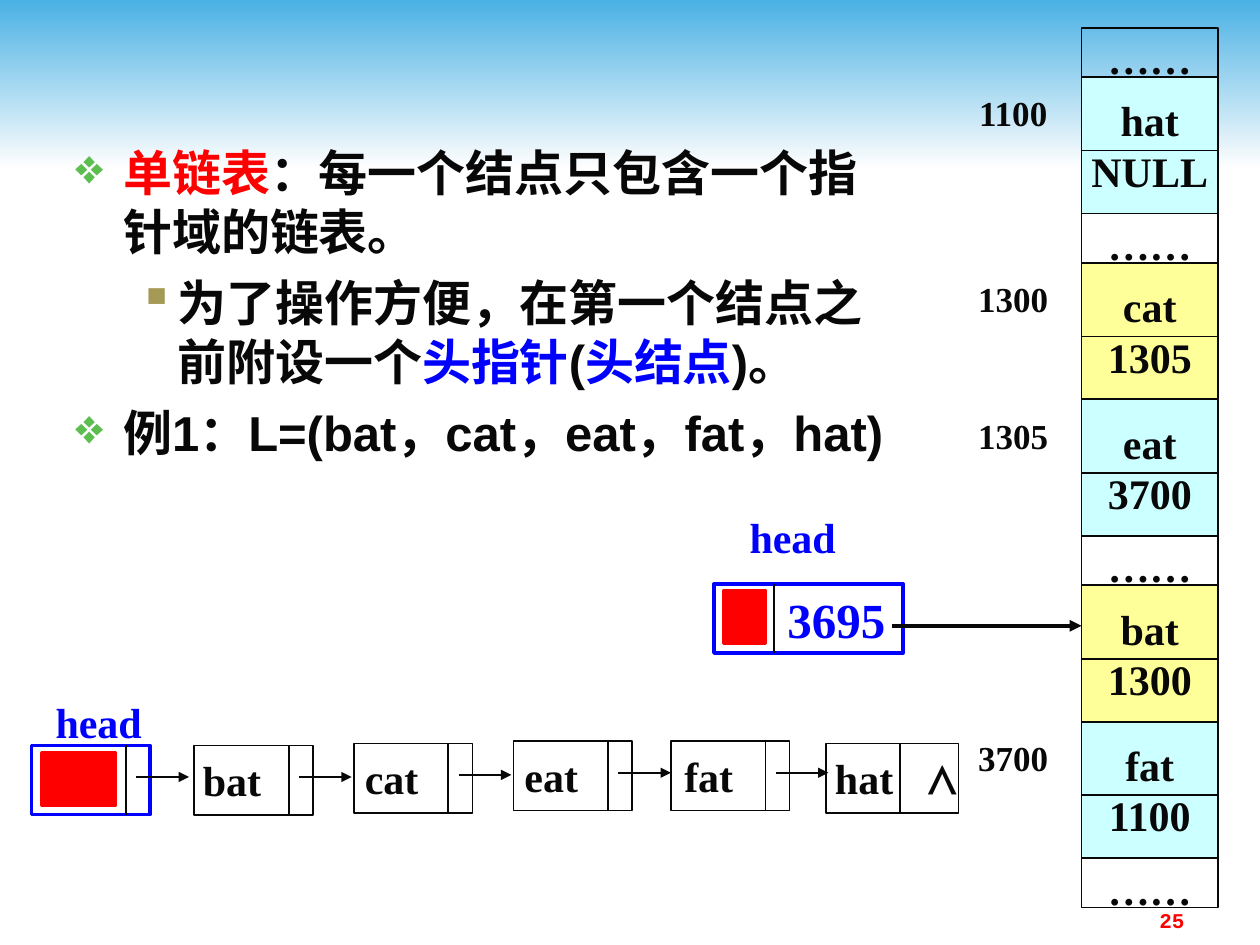
import pptx
import pptx.dml.color
import pptx.enum.shapes
import pptx.enum.text
import pptx.oxml
import pptx.oxml.ns
import pptx.util

RGBColor = pptx.dml.color.RGBColor
INK = RGBColor(0x08, 0x08, 0x08)
BLUE = RGBColor(0x00, 0x00, 0xFF)
RED = RGBColor(0xFF, 0x00, 0x00)
CYAN = RGBColor(0xCC, 0xFF, 0xFF)
YELLOW = RGBColor(0xFF, 0xFF, 0x99)
SKY = RGBColor(0x4A, 0xB1, 0xE4)
MIST = RGBColor(0xFE, 0xFE, 0xFE)
GREEN = RGBColor(0x5B, 0xBE, 0x4E)
OLIVE = RGBColor(0xA5, 0x9A, 0x55)
SERIF = "Times New Roman"
RECTANGLE = pptx.enum.shapes.MSO_SHAPE.RECTANGLE
STRAIGHT = pptx.enum.shapes.MSO_CONNECTOR.STRAIGHT
ALIGN = pptx.enum.text.PP_ALIGN
ANCHOR = pptx.enum.text.MSO_ANCHOR

deck = pptx.Presentation()
deck.slide_width = pptx.util.Inches(10)
deck.slide_height = pptx.util.Inches(7.5)
page = deck.slides.add_slide(deck.slide_layouts[6])
# Grid of 120 columns by 90 rows
CELL = deck.slide_width // 120


def add_box(area, lines=(), fill=None, edge=None, weight=1, color=INK, size=24, font=SERIF,
            align=ALIGN.CENTER, anchor=ANCHOR.MIDDLE, wrap=False, insets=(1.2, 0.6, 1.2, 0.6)):
    """Rectangle, placed in grid units, with one paragraph for each line."""
    box = page.shapes.add_shape(RECTANGLE, *[int(n * CELL) for n in area])
    box.shadow.inherit = False
    if fill is None:
        box.fill.background()
    else:
        box.fill.solid()
        box.fill.fore_color.rgb = fill
    if edge is None:
        box.line.fill.background()
    else:
        box.line.color.rgb = edge
        box.line.width = pptx.util.Pt(weight)
    frame = box.text_frame
    settings = {"word_wrap": wrap, "vertical_anchor": anchor}
    for side, inset in zip(("left", "top", "right", "bottom"), insets):
        settings["margin_" + side] = int(inset * CELL)
    for name, value in settings.items():
        setattr(frame, name, value)
    for number, line in enumerate(lines):
        para = frame.paragraphs[0] if number == 0 else frame.add_paragraph()
        para.alignment = align
        span = para.add_run()
        span.text = line
        for name, value in {"name": font, "size": pptx.util.Pt(size), "bold": True}.items():
            setattr(span.font, name, value)
        span.font.color.rgb = color
    return box


def add_line(x1, y1, x2, y2, weight=1, arrow=False):
    """Straight line between two grid points."""
    line = page.shapes.add_connector(STRAIGHT, *[int(n * CELL) for n in (x1, y1, x2, y2)])
    line.line.color.rgb = INK
    line.line.width = pptx.util.Pt(weight)
    if arrow:
        pptx.oxml.ns.qn("a:tailEnd")
        tail = line.line._get_or_add_ln().makeelement(
            pptx.oxml.ns.qn("a:tailEnd"), {"type": "triangle"})
        line.line._get_or_add_ln().append(tail)
    properties = line._element.spPr
    properties.append(properties.makeelement(pptx.oxml.ns.qn("a:effectLst"), {}))


# Sky band across the top
band = add_box((0, 0, 120, 16), fill=SKY)
band.fill.gradient()
band.fill.gradient_angle = 270
for stop, color, place in zip(band.fill.gradient_stops, (SKY, MIST), (0, 1)):
    stop.color.rgb = color
    stop.position = place

# Explanation: level, then spans of text and colour
bullets = [("❖", GREEN, 0.38, 0.38), ("▪", OLIVE, 0.81, 0.31)]
points = [
    (0, [("单链表", RED), ("：每一个结点只包含一个指针域的链表。", INK)]),
    (1, [("为了操作方便，在第一个结点之前附设一个", INK), ("头指针", BLUE), ("(", INK),
         ("头结点", BLUE), (")。", INK)]),
    (0, [("例1：L=(bat，cat，eat，fat，hat)", INK)]),
]
body = page.shapes.add_textbox(*[n * CELL for n in (6, 13, 80, 40)])
body.text_frame.word_wrap = True
for number, (level, spans) in enumerate(points):
    para = body.text_frame.paragraphs[0] if number == 0 else body.text_frame.add_paragraph()
    para.level = level
    if number:
        para.space_before = pptx.util.Pt(7)
    sign, sign_color, margin, hang = bullets[level]
    properties = para._p.get_or_add_pPr()
    properties.set("marL", str(pptx.util.Inches(margin)))
    properties.set("indent", str(-pptx.util.Inches(hang)))
    namespace = pptx.oxml.ns.nsdecls("a")
    for xml in (f'<a:buClr {namespace}><a:srgbClr val="{sign_color}"/></a:buClr>',
                f'<a:buChar {namespace} char="{sign}"/>'):
        properties.append(pptx.oxml.parse_xml(xml))
    for text, color in spans:
        span = para.add_run()
        span.text = text
        for name, value in {"name": "Arial", "size": pptx.util.Pt(28), "bold": True}.items():
            setattr(span.font, name, value)
        span.font.color.rgb = color

# Memory column: each cell starts where the one above ends
CELL_LEFT, CELL_WIDTH, CELL_HEIGHT, GAP_HEIGHT = 103, 13, 13, 4.7
memory = [
    None,
    ("1100", "hat", "NULL", CYAN),
    None,
    ("1300", "cat", "1305", YELLOW),
    ("1305", "eat", "3700", CYAN),
    None,
    ("", "bat", "1300", YELLOW),
    ("3700", "fat", "1100", CYAN),
    None,
]
top = 2.64
for record in memory:
    if record is None:
        add_box((CELL_LEFT, top, CELL_WIDTH, GAP_HEIGHT), ["……"], edge=INK,
                insets=(1.2, 1.6, 1.2, 0.6))
        top += GAP_HEIGHT
        continue
    address, value, link, fill = record
    add_box((CELL_LEFT, top, CELL_WIDTH, CELL_HEIGHT), [value, link], fill=fill, edge=INK)
    add_line(CELL_LEFT, top + 7, CELL_LEFT + CELL_WIDTH, top + 7)
    if address:
        add_box((CELL_LEFT - 13, top, 13, 6.8), [address], size=20)
    top += CELL_HEIGHT

# Head pointer into the memory column
add_box((70, 48.6, 11, 5), ["head"], color=BLUE)
add_box((68, 55.6, 18, 6.6), ["3695"], edge=BLUE, weight=2, color=BLUE, size=28,
        align=ALIGN.LEFT, insets=(7, 0.6, 0, 0.6))
add_line(73.7, 55.6, 73.7, 62.2)
add_line(85, 59.6, CELL_LEFT, 59.6, weight=2.25, arrow=True)
add_box((68.9, 56.3, 4, 5), fill=RED, edge=RED, weight=2)

# Linked chain: left, top, width, divider offset, value
NODE_HEIGHT = 6.6
chain = [
    (3, 71, 11.3, 9, ""),
    (18.5, 71, 11.3, 9, "bat"),
    (33.7, 70.8, 11.3, 9, "cat"),
    (48.9, 70.6, 11.3, 9, "eat"),
    (63.9, 70.6, 11.3, 9, "fat"),
    (78.7, 70.8, 12.6, 7, "hat"),
]
for left, top, width, divider, value in chain:
    add_box((left, top, width, NODE_HEIGHT), [value] if value else [],
            edge=INK if value else BLUE, weight=1 if value else 2,
            insets=(0, 0.6, width - 7.2, 0.6))
    add_line(left + divider, top, left + divider, top + NODE_HEIGHT)
    if value != "hat":
        add_line(left + 10, top + 3, left + 15, top + 3, arrow=True)
add_box((88, 70.8, 3.5, NODE_HEIGHT), ["⋀"], insets=(0, 0.6, 0, 0.6))
add_box((3.9, 65.7, 11, 6), ["head"], color=BLUE)
add_box((4, 71.7, 7, 5), fill=RED, edge=RED, weight=2)

# Page number
add_box((86, 85.8, 28, 3.2), ["25"], color=RED, size=12, font="Courier New",
        align=ALIGN.RIGHT, anchor=ANCHOR.TOP, wrap=True)

deck.save("out.pptx")
